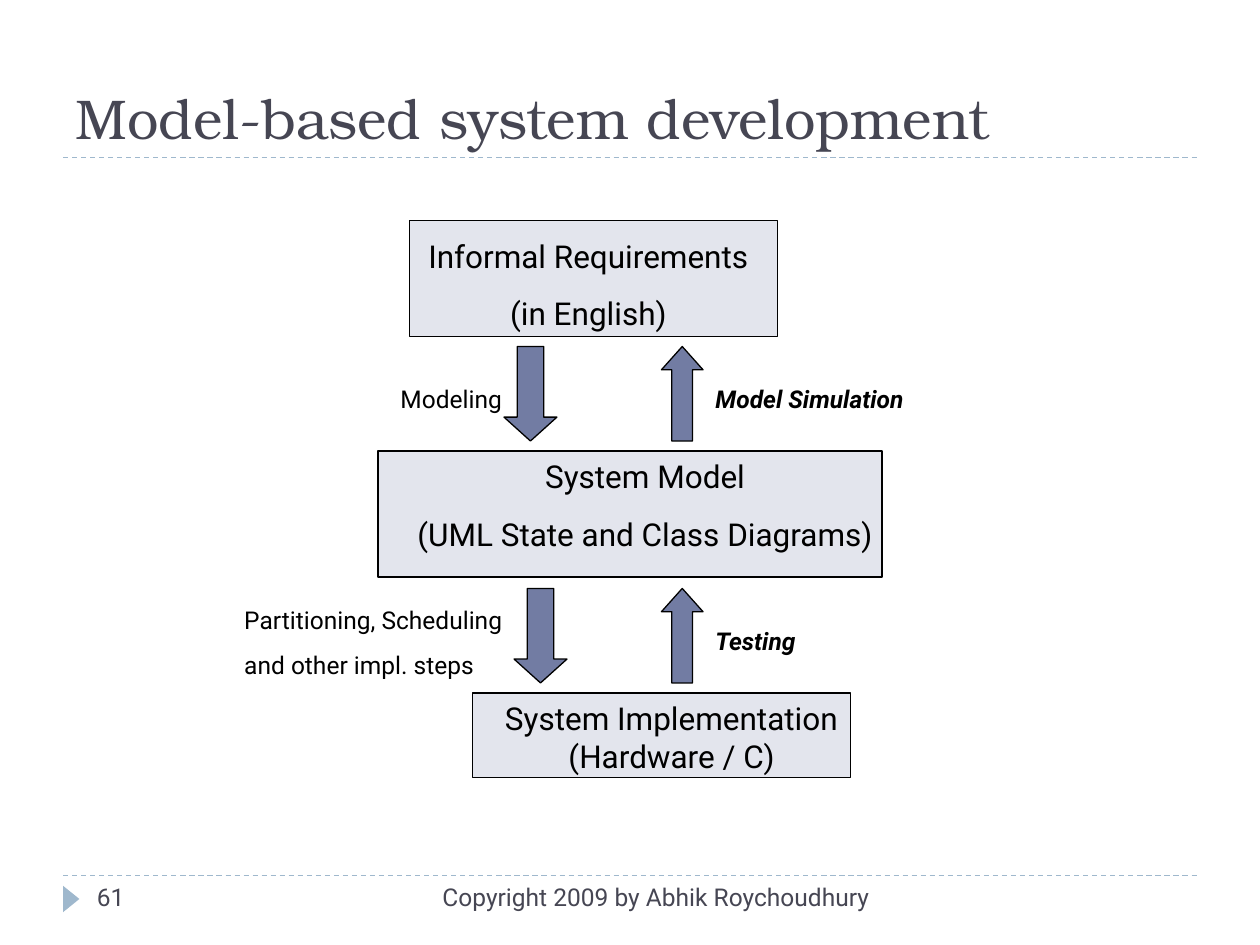
"""Build the slide on model-based system development."""
import pptx
import pptx.util
import pptx.dml.color
import pptx.enum.dml
import pptx.enum.shapes
import pptx.enum.text
import pptx.oxml

Inches, Pt = pptx.util.Inches, pptx.util.Pt
Shape = pptx.enum.shapes.MSO_SHAPE
Align = pptx.enum.text.PP_ALIGN
Anchor = pptx.enum.text.MSO_ANCHOR

COLORS = {"ink": "000000", "heading": "464653", "rule": "9FB8CD", "stage": "E3E5ED", "arrow": "727CA3"}
BODY_FONT, TITLE_FONT = "Roboto", "TeX Gyre Bonum"
WIDTH, HEIGHT, MARGIN = 10, 7.5, 0.5
TITLE = "Model-based system development"
TITLE_RULE, FOOTER_RULE = 1.25, 6.95

STAGES = [
    ((3.25, 1.75, 2.92, 0.92), (2.67, 1.83, 4, 0.86), ["Informal Requirements", "(in English)"], 11.2),
    ((3, 3.58, 4, 1), (2.83, 3.58, 4.58, 0.86), ["System Model", "(UML State and Class Diagrams)"], 11.2),
    ((3.75, 5.5, 3, 0.67), (2.83, 5.5, 5, 0.7), ["System Implementation", "(Hardware / C)"], 0),
]
ARROW_HEIGHT, UP_LEFT = 0.75, 5.25
STEPS = [
    {"top": 2.75, "down_left": 4,
     "down": ((3.08, 3, 1.42, 0.34), ["Modeling"]),
     "up": ((5.58, 3, 2.25, 0.34), ["Model Simulation"])},
    {"top": 4.67, "down_left": 4.08,
     "down": ((1.84, 4.75, 2.44, 0.69), ["Partitioning, Scheduling", "and other impl. steps"]),
     "up": ((5.58, 4.92, 1.75, 0.34), ["Testing"])},
]
FOOTERS = [
    ((3.17, FOOTER_RULE, 3.83, 0.4), "Copyright 2009 by Abhik Roychoudhury", Align.RIGHT),
    ((0.67, FOOTER_RULE, 2.17, 0.4), "61", Align.LEFT),
]


def color(name):
    return pptx.dml.color.RGBColor.from_string(COLORS[name])


def write(frame, lines, size, ink="ink", font=BODY_FONT, align=Align.LEFT, gap=0, strong=False):
    frame.word_wrap = True
    for index, line in enumerate(lines):
        para = frame.add_paragraph() if index else frame.paragraphs[0]
        para.alignment = align
        para.space_before = Pt(gap if index else 0)
        span = para.add_run()
        span.text = line
        span.font.name, span.font.size = font, Pt(size)
        span.font.color.rgb = color(ink)
        span.font.bold = span.font.italic = strong


def add_text(page, place, lines, size, **style):
    box = page.shapes.add_textbox(*map(Inches, place))
    write(box.text_frame, lines, size, **style)


def add_figure(page, kind, place, fill, adjustments=(), outlined=True):
    figure = page.shapes.add_shape(kind, *map(Inches, place))
    figure.shadow.inherit = False
    figure.fill.solid()
    figure.fill.fore_color.rgb = color(fill)
    if outlined:
        figure.line.color.rgb = color("ink")
        figure.line.width = Pt(0.75)
    else:
        figure.line.fill.background()
    for index, value in enumerate(adjustments):
        figure.adjustments[index] = value
    return figure


def add_rule(page, top):
    rule = page.shapes.add_connector(
        pptx.enum.shapes.MSO_CONNECTOR.STRAIGHT,
        Inches(MARGIN), Inches(top), Inches(WIDTH - MARGIN), Inches(top))
    rule.line.color.rgb = color("rule")
    rule.line.width = Pt(0.75)
    rule.line.dash_style = pptx.enum.dml.MSO_LINE.DASH
    rule._element.spPr.append(pptx.oxml.parse_xml(
        '<a:effectLst xmlns:a="http://schemas.openxmlformats.org/drawingml/2006/main"/>'))


def add_title(page):
    title = page.shapes.title
    title.left, title.top = Inches(MARGIN), Inches(0.17)
    title.width, title.height = Inches(WIDTH - 2 * MARGIN), Inches(TITLE_RULE - 0.17)
    title.text_frame.vertical_anchor = Anchor.BOTTOM
    title.text_frame.auto_size = pptx.enum.text.MSO_AUTO_SIZE.NONE
    write(title.text_frame, [TITLE], 32, ink="heading", font=TITLE_FONT)


def main():
    deck = pptx.Presentation()
    deck.slide_width, deck.slide_height = Inches(WIDTH), Inches(HEIGHT)
    page = deck.slides.add_slide(deck.slide_layouts[5])
    for top in (FOOTER_RULE, TITLE_RULE):
        add_rule(page, top)
    marker = add_figure(page, Shape.ISOSCELES_TRIANGLE, (0.46, 7.07, 0.21, 0.13), "rule", outlined=False)
    marker.rotation = 90
    add_title(page)
    for place, line, align in FOOTERS:
        add_text(page, place, [line], 14, ink="heading", align=align)
    for frame, place, lines, gap in STAGES:
        add_figure(page, Shape.RECTANGLE, frame, "stage")
        add_text(page, place, lines, 18, align=Align.CENTER, gap=gap)
    for step in STEPS:
        add_figure(page, Shape.DOWN_ARROW, (step["down_left"], step["top"], 0.42, ARROW_HEIGHT),
                   "arrow", (0.5, 0.45))
        add_figure(page, Shape.UP_ARROW, (UP_LEFT, step["top"], 0.33, ARROW_HEIGHT),
                   "arrow", (0.5, 0.56))
        for direction in ("down", "up"):
            place, lines = step[direction]
            add_text(page, place, lines, 14, gap=8.8, strong=direction == "up")
    deck.save("out.pptx")


if __name__ == "__main__":
    main()
